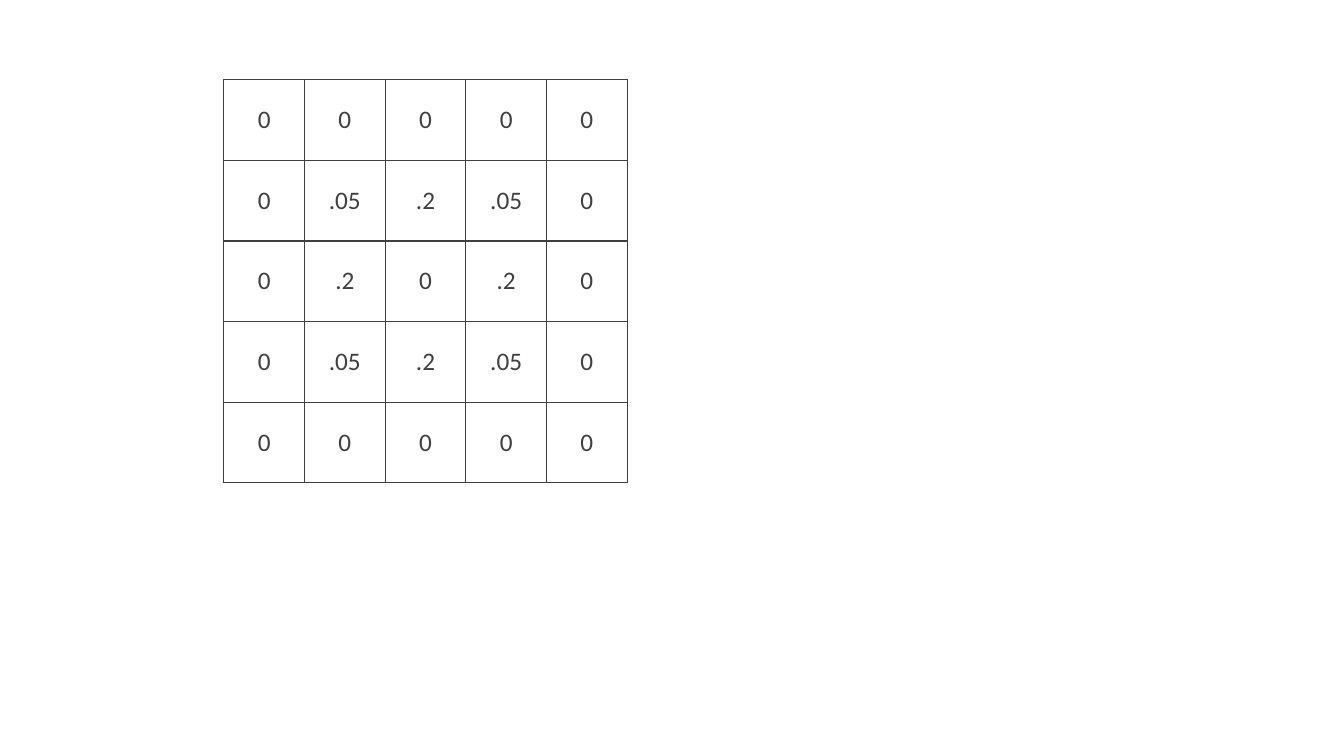
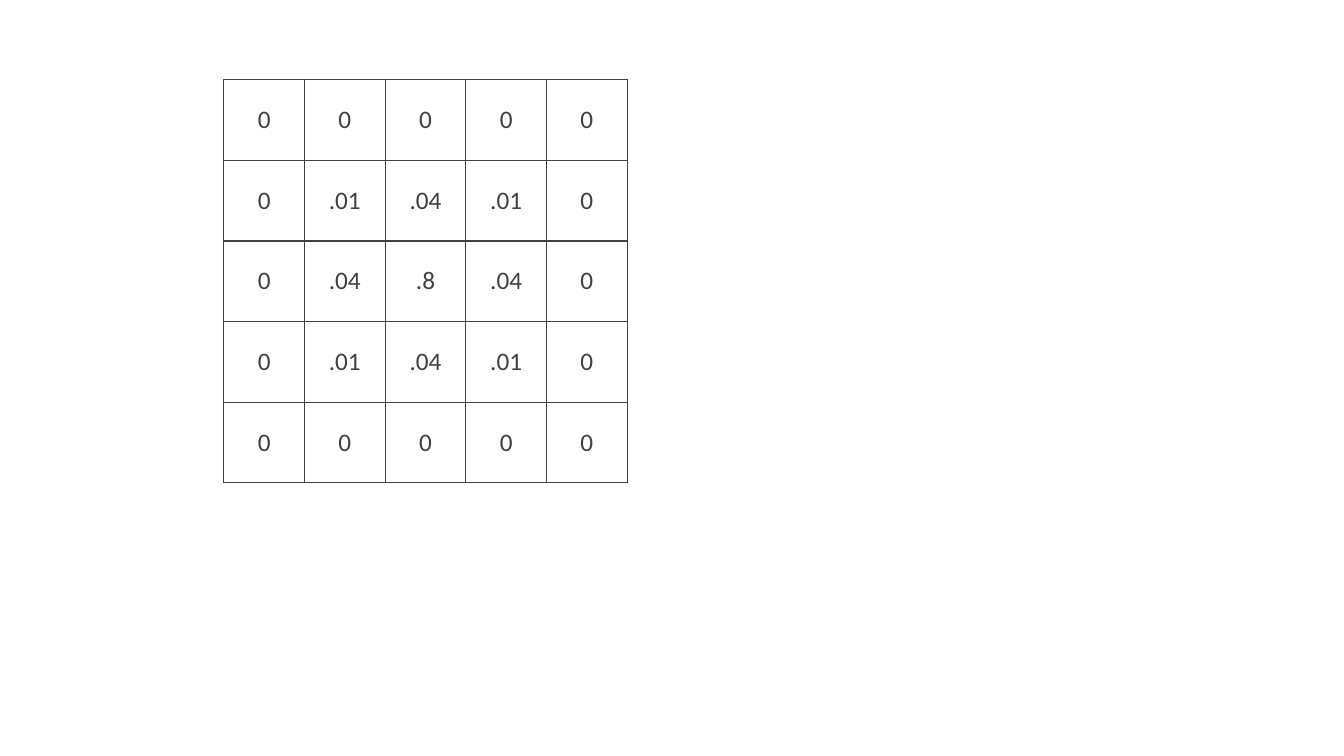
from lxml.etree import SubElement
from pptx import Presentation
from pptx.dml.color import RGBColor
from pptx.enum.text import MSO_ANCHOR, PP_ALIGN
from pptx.oxml.ns import qn
from pptx.util import Inches, Pt

BLANK_LAYOUT = 6
KERNELS = [
    {"corner": ".05", "edge": ".2", "centre": "0"},
    {"corner": ".01", "edge": ".04", "centre": ".8"},
]


def color(value):
    return RGBColor.from_string(value)


def kernel_rows(corner, edge, centre):
    outer = ["0"] * 5
    side = ["0", corner, edge, corner, "0"]
    middle = ["0", edge, centre, edge, "0"]
    return [outer, side, middle, side, outer]


class KernelDeck:
    """Holds the shared style and the current slide."""

    font_name = "Calibri"
    font_size = Pt(18)
    ink = "404040"
    border_width = Pt(1)
    cell_size = Inches(0.8)
    left, top = Inches(2.22), Inches(0.79)

    def __init__(self):
        self.deck = Presentation()
        self.deck.slide_width = Inches(13.33)
        self.deck.slide_height = Inches(7.5)
        self.page = None

    def add_page(self):
        self.page = self.deck.slides.add_slide(self.deck.slide_layouts[BLANK_LAYOUT])

    def add_grid(self, rows):
        row_count, column_count = len(rows), len(rows[0])
        table = self.page.shapes.add_table(
            row_count, column_count, self.left, self.top,
            self.cell_size * column_count, self.cell_size * row_count,
        ).table
        table.first_row = False
        table.horz_banding = False
        for row_index, row in enumerate(rows):
            for column_index, text in enumerate(row):
                self.style_cell(table.cell(row_index, column_index), text)

    def style_cell(self, cell, text):
        cell.text = text
        cell.vertical_anchor = MSO_ANCHOR.MIDDLE
        self.add_borders(cell)
        cell.fill.background()
        paragraph = cell.text_frame.paragraphs[0]
        paragraph.alignment = PP_ALIGN.CENTER
        paragraph.font.name = self.font_name
        paragraph.font.size = self.font_size
        paragraph.font.color.rgb = color(self.ink)

    def add_borders(self, cell):
        properties = cell._tc.get_or_add_tcPr()
        for side in ("L", "R", "T", "B"):
            line = SubElement(properties, qn(f"a:ln{side}"), w=str(self.border_width))
            fill = SubElement(line, qn("a:solidFill"))
            SubElement(fill, qn("a:srgbClr"), val=self.ink)

    def save(self):
        self.deck.save("out.pptx")


def main():
    kernel_deck = KernelDeck()
    for kernel in KERNELS:
        kernel_deck.add_page()
        kernel_deck.add_grid(kernel_rows(**kernel))
    kernel_deck.save()


if __name__ == "__main__":
    main()
